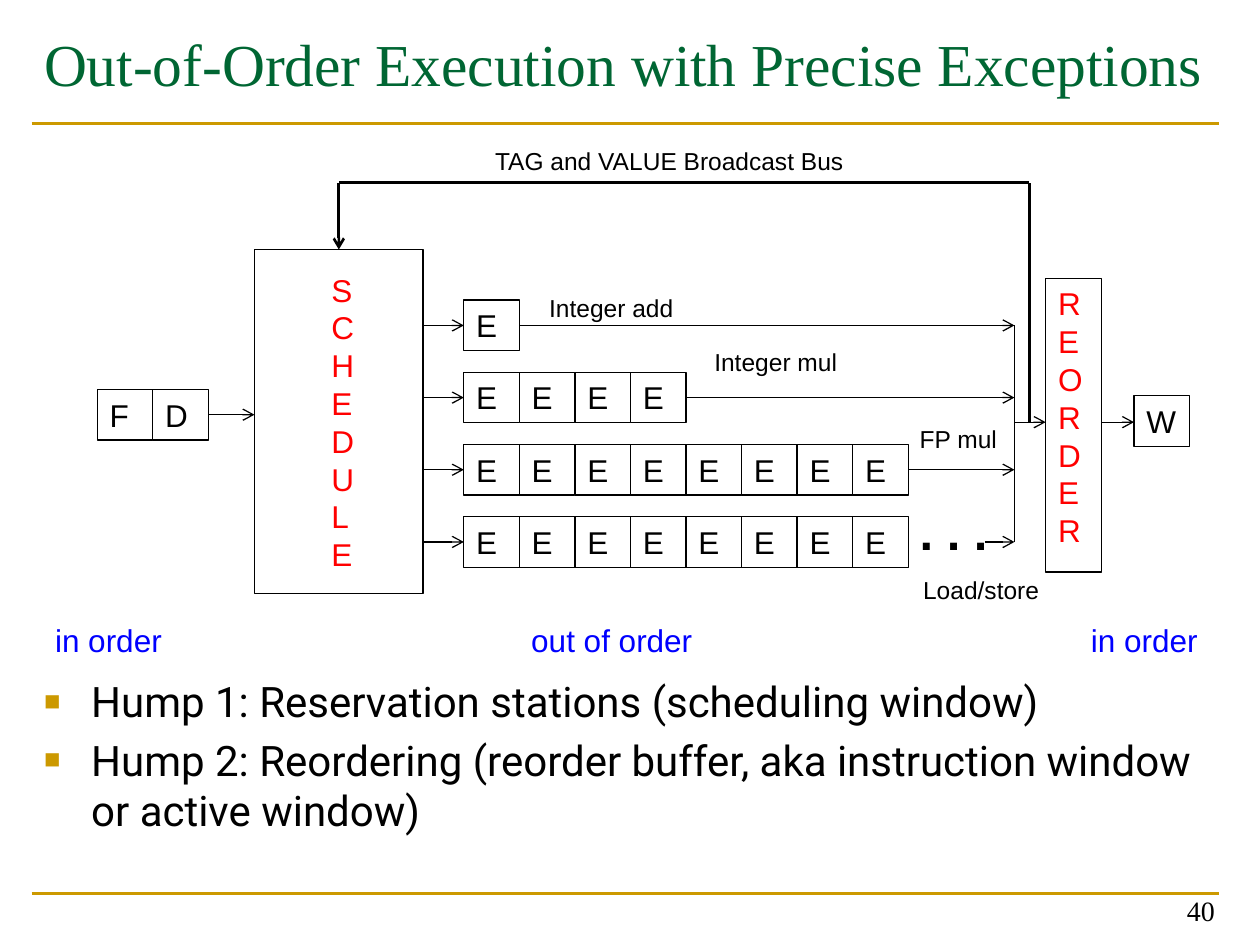
import dataclasses

import lxml.etree
import pptx
import pptx.dml.color
import pptx.enum.shapes
import pptx.enum.text
import pptx.oxml.ns
import pptx.util

Cm = pptx.util.Cm
Pt = pptx.util.Pt
ALIGN = pptx.enum.text.PP_ALIGN
ANCHOR = pptx.enum.text.MSO_ANCHOR

BLACK, WHITE, RED, BLUE = "000000", "FFFFFF", "FF0000", "0000FF"
GREEN, GOLD = "006633", "CC9900"
CELL_WIDTH, CELL_HEIGHT = 1.12, 1.02


@dataclasses.dataclass
class Box:
    """A rectangle in centimetres."""
    left: float
    top: float
    width: float
    height: float

    def inner(self, left, top, width, height):
        """Return a box placed relative to this one."""
        return Box(self.left + left, self.top + top, width, height)

    def lengths(self):
        """Return the four lengths for python-pptx."""
        return [Cm(value) for value in dataclasses.astuple(self)]


def color(value):
    """Turn a hex string into a colour."""
    return pptx.dml.color.RGBColor.from_string(value)


def add_xml(parent, tag, **attributes):
    """Append a DrawingML element to a parent."""
    return lxml.etree.SubElement(parent, pptx.oxml.ns.qn(tag), attributes)


def style_text(frame, text, size, ink, font="Arial", bold=False):
    """Write left-aligned text and format its runs."""
    frame.text = text
    for para in frame.paragraphs:
        para.alignment = ALIGN.LEFT
        for span in para.runs:
            span.font.name = font
            span.font.size = Pt(size)
            span.font.bold = bold
            span.font.color.rgb = color(ink)


def add_text(page, box, text, size, ink=BLACK, font="Arial", bold=False, wrap=False):
    """Place a text box and return its frame."""
    frame = page.shapes.add_textbox(*box.lengths()).text_frame
    frame.word_wrap = wrap
    style_text(frame, text, size, ink, font, bold)
    return frame


def add_block(page, box, text="", ink=BLACK):
    """Place an outlined white rectangle with text at its top left."""
    shape = page.shapes.add_shape(pptx.enum.shapes.MSO_SHAPE.RECTANGLE, *box.lengths())
    shape.shadow.inherit = False
    shape.fill.solid()
    shape.fill.fore_color.rgb = color(WHITE)
    shape.line.color.rgb = color(BLACK)
    shape.line.width = Pt(0.75)
    shape.text_frame.vertical_anchor = ANCHOR.TOP
    style_text(shape.text_frame, text, 18, ink)


def add_wire(page, box, start, end, width=0.75, ink=BLACK, arrow=False):
    """Draw a straight line between two points of a box."""
    (x1, y1), (x2, y2) = start, end
    wire = page.shapes.add_connector(
        pptx.enum.shapes.MSO_CONNECTOR.STRAIGHT,
        Cm(box.left + x1), Cm(box.top + y1), Cm(box.left + x2), Cm(box.top + y2))
    wire.line.color.rgb = color(ink)
    wire.line.width = Pt(width)
    properties = wire.element.spPr
    if arrow:
        add_xml(properties.find(pptx.oxml.ns.qn("a:ln")), "a:tailEnd", type="arrow")
    add_xml(properties, "a:effectLst")


def add_cells(page, box, letters):
    """Place a row of adjoining pipeline stages."""
    for index, letter in enumerate(letters):
        add_block(page, box.inner(index * CELL_WIDTH, 0, CELL_WIDTH, CELL_HEIGHT), letter)


def draw_title(page, box):
    """Place the heading and the rule under it."""
    add_text(page, box, "Out-of-Order Execution with Precise Exceptions",
             34, GREEN, "Times New Roman", wrap=True)
    add_wire(page, box, (0, 2.06), (box.width, 2.06), 1.5, GOLD)


def draw_front_end(page, box):
    """Draw fetch, decode and the scheduler."""
    add_cells(page, box.inner(0, 2.82, 0, 0), "FD")
    add_wire(page, box, (2 * CELL_WIDTH, 3.33), (3.17, 3.33), arrow=True)
    add_block(page, box.inner(3.17, 0, 3.4, box.height))
    add_text(page, box.inner(4.47, 0.3, 0.97, 6.43), "\n".join("SCHEDULE"), 18, RED)


def draw_units(page, box):
    """Draw the execution units between the two vertical buses."""
    unit_left, pitch, middle = 0.82, 1.455, CELL_HEIGHT / 2
    stage_counts = [1, 4, 8, 8]
    for row, count in enumerate(stage_counts):
        top = row * pitch
        unit_right = unit_left + count * CELL_WIDTH
        wire_left = 11.33 if row == 3 else unit_right
        add_cells(page, box.inner(unit_left, top, 0, 0), "E" * count)
        add_wire(page, box, (0, top + middle), (unit_left, top + middle), arrow=True)
        add_wire(page, box, (wire_left, top + middle), (box.width, top + middle), arrow=True)
    for x in (0, box.width):
        add_wire(page, box, (x, middle), (x, 3 * pitch + middle))
    add_text(page, box.inner(9.76, 3.93, 1.9, 1.45), ". . .", 28, bold=True)
    labels = [("Integer add", 2.29, -0.26, 3.02), ("Integer mul", 5.62, 0.83, 3),
              ("FP mul", 9.76, 2.38, 2.08), ("Load/store", 9.83, 5.41, 2.9)]
    for text, left, top, width in labels:
        add_text(page, box.inner(left, top, width, 0.86), text, 14)


def draw_back_end(page, box):
    """Draw the reorder stage and write-back."""
    add_wire(page, box, (0, 2.9), (0.63, 2.9), arrow=True)
    add_block(page, box.inner(0.63, 0, CELL_WIDTH, box.height), "\n".join("REORDER"), RED)
    add_wire(page, box, (1.75, 2.9), (2.41, 2.9), arrow=True)
    add_cells(page, box.inner(2.41, 2.37, 0, 0), "W")


def draw_broadcast(page, box):
    """Draw the bus that runs from the results back to the scheduler."""
    corners = [(box.width, box.height), (box.width, 0), (0, 0), (0, 1.35)]
    for index, (start, end) in enumerate(zip(corners, corners[1:])):
        add_wire(page, box, start, end, 1.5, arrow=index == 2)
    add_text(page, box.inner(2.9, -0.86, 7.57, 0.86), "TAG and VALUE Broadcast Bus", 14)


def draw_order_labels(page, box):
    """Name the ordering of each part of the machine."""
    labels = [("in order", 0, 2.69), ("out of order", 9.6, 3.78), ("in order", 20.88, 2.69)]
    for text, left, width in labels:
        add_text(page, box.inner(left, 0, width, box.height), text, 18, BLUE)


def draw_bullets(page, box):
    """Place the two takeaways as a bulleted list."""
    frame = add_text(page, box, "Hump 1: Reservation stations (scheduling window)\n"
                     "Hump 2: Reordering (reorder buffer, aka instruction window or active window)",
                     24, font="Roboto", wrap=True)
    for index, para in enumerate(frame.paragraphs):
        properties = para._p.get_or_add_pPr()
        properties.set("marL", str(Cm(0.95)))
        properties.set("indent", str(-Cm(0.95)))
        add_xml(add_xml(properties, "a:buClr"), "a:srgbClr", val=GOLD)
        add_xml(properties, "a:buSzPct", val="65000")
        add_xml(properties, "a:buFont", typeface="Arial")
        add_xml(properties, "a:buChar", char="■")
        if index:
            para.space_before = Pt(4.8)


def draw_footer(page, box):
    """Place the bottom rule and the page number."""
    add_wire(page, box, (0, 0), (box.width, 0), 1.5, GOLD)
    frame = add_text(page, box.inner(18.18, -0.46, 5.92, 1.27), "40", 16,
                     font="Times New Roman", wrap=True)
    frame.vertical_anchor = ANCHOR.BOTTOM
    frame.paragraphs[0].alignment = ALIGN.RIGHT


def main():
    """Build the slide and save it."""
    deck = pptx.Presentation()
    deck.slide_width, deck.slide_height = Cm(25.4), Cm(19.05)
    page = deck.slides.add_slide(deck.slide_layouts[6])
    draw_title(page, Box(0.64, 0.43, 23.93, 2))
    draw_front_end(page, Box(1.96, 5.03, 6.57, 6.93))
    draw_units(page, Box(8.53, 6.05, 11.92, 5.4))
    draw_back_end(page, Box(20.45, 5.61, 3.53, 5.92))
    draw_broadcast(page, Box(6.83, 3.68, 13.92, 4.83))
    draw_order_labels(page, Box(0.86, 12.4, 23.57, 1.02))
    draw_bullets(page, Box(0.64, 13.49, 24.46, 3.7))
    draw_footer(page, Box(0.64, 18.01, 23.93, 1))
    deck.save("out.pptx")


if __name__ == "__main__":
    main()
